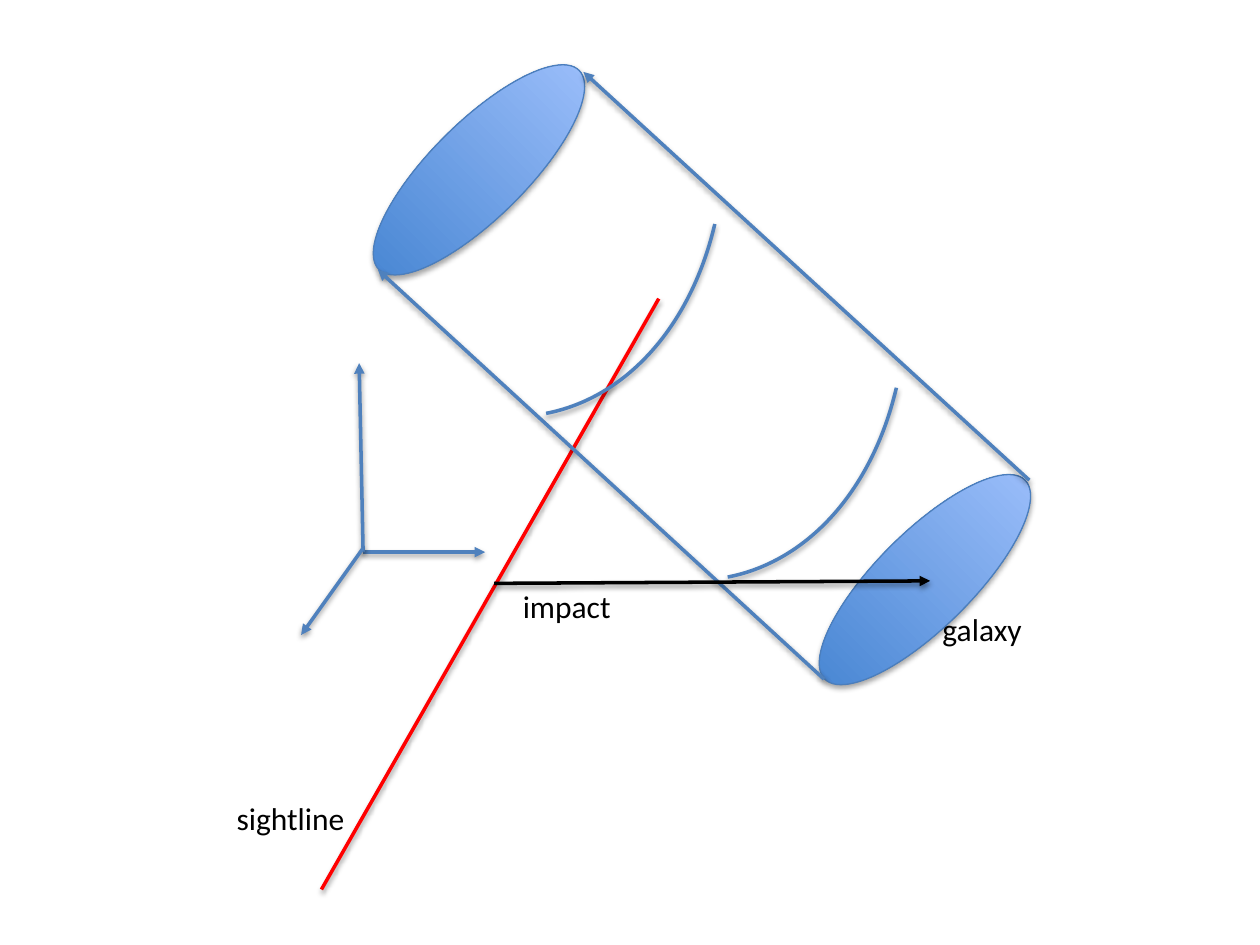
"""Build a diagram of a sightline passing a galaxy's outflow cylinder."""
from lxml import etree
from pptx import Presentation
from pptx import util as u
from pptx.dml.color import RGBColor
from pptx.enum import shapes, text
from pptx.oxml import ns

COLORS = {
    "blue": "4F81BD", "rim": "4B7EBC", "disk_dark": "3F80CE",
    "disk_light": "A4C4FF", "red": "FF0000", "black": "000000",
}


def style(shape, color, width, opacity, distance):
    """Set the outline and a soft shadow that falls straight down."""
    shape.line.color.rgb = RGBColor.from_string(COLORS[color])
    shape.line.width = u.Pt(width)
    properties = shape._element.spPr
    for old in properties.findall(ns.qn("a:effectLst")):
        properties.remove(old)
    effects = etree.SubElement(properties, ns.qn("a:effectLst"))
    shadow = etree.SubElement(
        effects, ns.qn("a:outerShdw"), blurRad=str(u.Pt(3.1)),
        dist=str(u.Pt(distance)), dir="5400000", rotWithShape="0")
    black = etree.SubElement(shadow, ns.qn("a:srgbClr"), val=COLORS["black"])
    etree.SubElement(black, ns.qn("a:alpha"), val=str(opacity * 1000))


def draw_line(start, end, color="blue", arrow=True):
    """Draw a straight line, with an arrowhead at its end if wanted."""
    line = slide.shapes.add_connector(
        shapes.MSO_CONNECTOR.STRAIGHT, *map(u.Cm, start + end))
    style(line, color, 2, 38, 1.6)
    if arrow:
        etree.SubElement(line.line._get_or_add_ln(), ns.qn("a:tailEnd"), type="triangle")


prs = Presentation()
prs.slide_width, prs.slide_height = u.Cm(25.4), u.Cm(19.05)
slide = prs.slides.add_slide(prs.slide_layouts[6])

for left, top in [(17.68, 8.84), (8.69, 0.58)]:
    disk = slide.shapes.add_shape(
        shapes.MSO_SHAPE.OVAL, u.Cm(left), u.Cm(top), u.Cm(1.93), u.Cm(5.69))
    disk.rotation = 45.2
    disk.fill.gradient()
    disk.fill.gradient_angle = 90
    for stop, shade in zip(disk.fill.gradient_stops, ["disk_dark", "disk_light"]):
        stop.color.rgb = RGBColor.from_string(COLORS[shade])
    style(disk, "rim", 0.75, 35, 1.8)

axes = [((7.32, 11.13), (9.78, 11.13)), ((7.32, 11.13), (7.24, 7.32)),
        ((7.32, 11.05), (6.07, 12.8))]
cylinder_edges = [((16.61, 13.69), (7.62, 5.44)), ((20.75, 9.68), (11.76, 1.45))]

draw_line((6.48, 17.93), (13.28, 6.02), "red", arrow=False)
for start, end in axes + cylinder_edges:
    draw_line(start, end)

for left, top in [(3.58, -2.54), (7.24, 0.76)]:
    curve = slide.shapes.add_shape(
        shapes.MSO_SHAPE.ARC, u.Cm(left), u.Cm(top), u.Cm(12.6), u.Cm(9.35))
    curve.rotation = 80.4
    curve.adjustments[0], curve.adjustments[1] = 184.4, 215.57
    curve.fill.background()
    style(curve, "blue", 2, 38, 1.6)

draw_line((9.96, 11.76), (18.75, 11.71), "black")

for label, left, top, width in [
    ("sightline", 4.52, 15.98, 2.72),
    ("impact", 10.29, 11.71, 2.31),
    ("galaxy", 18.75, 12.17, 2.13),
]:
    caption = slide.shapes.add_textbox(u.Cm(left), u.Cm(top), u.Cm(width), u.Cm(1.02))
    frame = caption.text_frame
    frame.word_wrap = False
    frame.auto_size = text.MSO_AUTO_SIZE.SHAPE_TO_FIT_TEXT
    paragraph = frame.paragraphs[0]
    paragraph.text = label
    paragraph.font.name, paragraph.font.size = "Calibri", u.Pt(18)
    paragraph.font.color.rgb = RGBColor.from_string(COLORS["black"])

prs.save("out.pptx")
